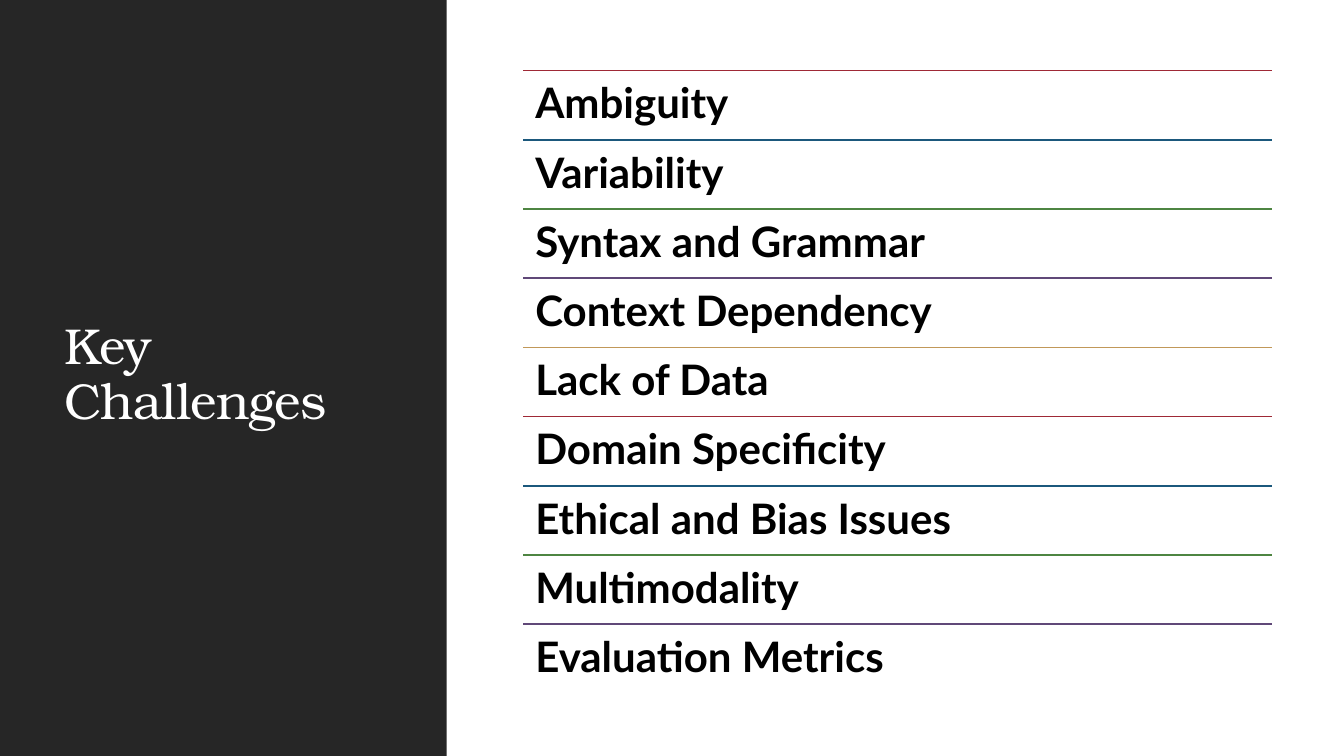
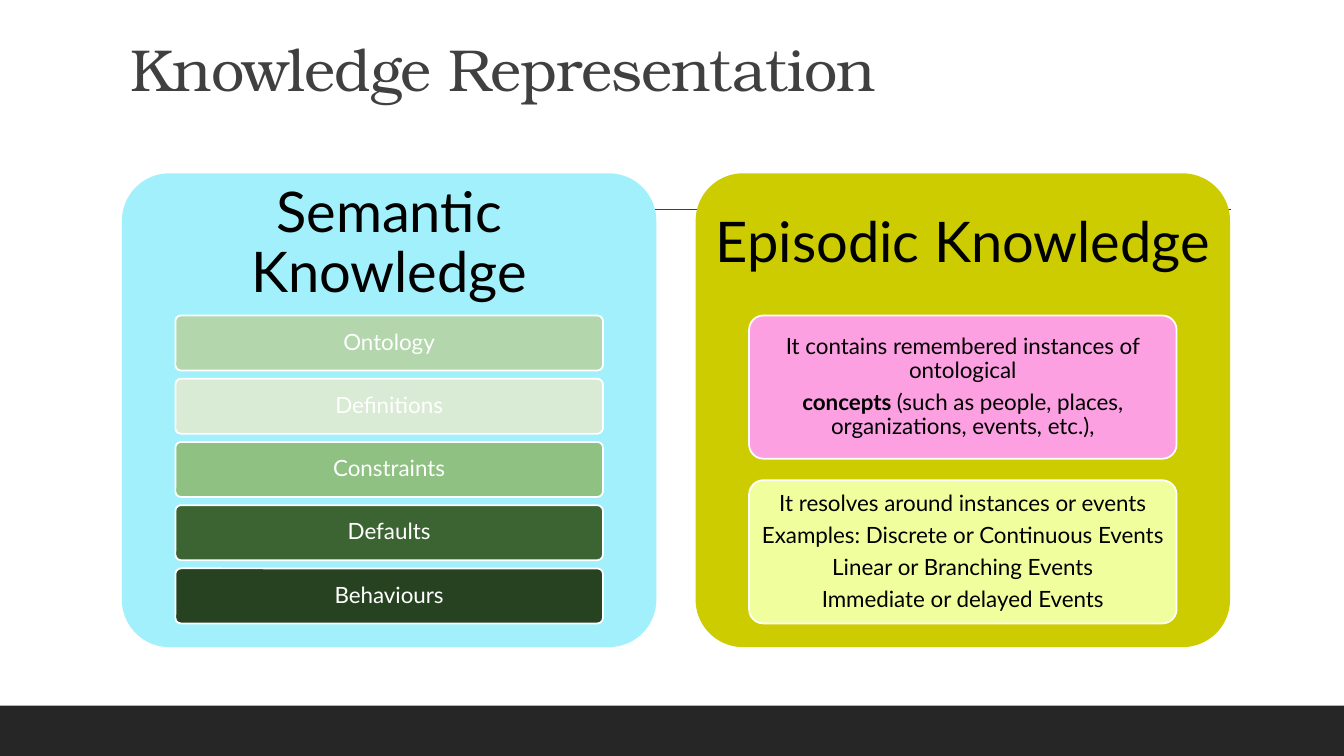
from dataclasses import dataclass

from lxml.etree import SubElement
from pptx import Presentation
from pptx.dml.color import RGBColor
from pptx.enum.shapes import MSO_CONNECTOR, MSO_SHAPE
from pptx.enum.text import MSO_ANCHOR as ANCHOR, PP_ALIGN as ALIGN
from pptx.oxml.ns import qn
from pptx.util import Inches, Pt

COLORS = {
    "dark": "262626", "grey": "404040", "white": "FFFFFF", "black": "000000",
    "red": "9F2936", "blue": "1B587C", "green": "4E8542",
    "purple": "604878", "tan": "C19859",
    "cyan": "A1F0FB", "olive": "CCCC00", "pink": "FCA0E2", "lime": "F0FE9E",
    "sage": "B3D6AC", "mist": "D9EAD5", "leaf": "8EC182",
    "forest": "3B6432", "pine": "274221",
}
BODY_FONT, TITLE_FONT = "Lato", "TeX Gyre Bonum"
SLIDE_W, SLIDE_H = 13.33, 7.5
FOOTER_H = 0.5


@dataclass(frozen=True)
class Box:
    x: float
    y: float
    w: float
    h: float

    def inches(self) -> tuple:
        return tuple(Inches(v) for v in (self.x, self.y, self.w, self.h))


@dataclass(frozen=True)
class Run:
    text: str
    bold: bool = False


@dataclass(frozen=True)
class Style:
    size: float
    color: str
    font: str = BODY_FONT
    align: ALIGN = ALIGN.LEFT
    anchor: ANCHOR = ANCHOR.MIDDLE
    inset: tuple = (0.1, 0.05)
    after: float = 0.35
    spacing: int = 0


@dataclass(frozen=True)
class Pill:
    fill: str
    color: str
    paragraphs: tuple


@dataclass(frozen=True)
class Panel:
    x: float
    fill: str
    heading: str
    pills: tuple


def rgb(name: str) -> RGBColor:
    return RGBColor.from_string(COLORS[name])


def write(sp, paragraphs, style: Style) -> None:
    tf = sp.text_frame
    tf.word_wrap = True
    tf.vertical_anchor = style.anchor
    tf.margin_left = tf.margin_right = Inches(style.inset[0])
    tf.margin_top = tf.margin_bottom = Inches(style.inset[1])
    for i, runs in enumerate(paragraphs):
        p = tf.paragraphs[0] if i == 0 else tf.add_paragraph()
        p.alignment = style.align
        p.line_spacing = 0.9
        p.space_after = Pt(style.size * style.after)
        for run in runs:
            r = p.add_run()
            r.text = run.text
            r.font.name = style.font
            r.font.size = Pt(style.size)
            r.font.bold = run.bold
            r.font.color.rgb = rgb(style.color)
            if style.spacing:
                r.font._element.set("spc", str(style.spacing))


def add_text(s, box: Box, run: Run, style: Style) -> None:
    write(s.shapes.add_textbox(*box.inches()), [[run]], style)


def add_title(s, box: Box, text: str, size: float, color: str, anchor: ANCHOR) -> None:
    add_text(s, box, Run(text), Style(size, color, TITLE_FONT, anchor=anchor,
                                      after=0, spacing=-50))


def add_block(s, box: Box, fill: str, rounded: bool = False, line: str = ""):
    kind = MSO_SHAPE.ROUNDED_RECTANGLE if rounded else MSO_SHAPE.RECTANGLE
    sp = s.shapes.add_shape(kind, *box.inches())
    sp.shadow.inherit = False
    sp.fill.solid()
    sp.fill.fore_color.rgb = rgb(fill)
    if rounded:
        sp.adjustments[0] = 0.1
    if line:
        sp.line.color.rgb = rgb(line)
        sp.line.width = Pt(1.25)
    else:
        sp.line.fill.background()
    return sp


def add_rule(s, x1: float, x2: float, y: float, color: str, width: float) -> None:
    rule = s.shapes.add_connector(MSO_CONNECTOR.STRAIGHT, Inches(x1), Inches(y),
                                  Inches(x2), Inches(y))
    rule.line.color.rgb = rgb(color)
    rule.line.width = Pt(width)
    SubElement(rule._element.spPr, qn("a:effectLst"))


CHALLENGES = (
    "Ambiguity", "Variability", "Syntax and Grammar", "Context Dependency",
    "Lack of Data", "Domain Specificity", "Ethical and Bias Issues",
    "Multimodality", "Evaluation Metrics",
)
RULE_COLORS = ("red", "blue", "green", "purple", "tan")


def challenges_slide(prs) -> None:
    s = prs.slides.add_slide(prs.slide_layouts[6])
    add_block(s, Box(0, 0, 4.43, SLIDE_H), "dark")
    add_title(s, Box(0.54, 0.57, 3.37, 6.31), "Key Challenges", 36, "white",
              ANCHOR.MIDDLE)
    left, top, width, height = 5.19, 0.7, 7.43, 6.18
    row_h = height / len(CHALLENGES)
    style = Style(30, "black", anchor=ANCHOR.TOP, inset=(0.12, 0.12))
    for i, name in enumerate(CHALLENGES):
        y = top + i * row_h
        add_rule(s, left, left + width, y, RULE_COLORS[i % len(RULE_COLORS)], 1.25)
        add_text(s, Box(left, y, width, row_h), Run(name, True), style)


PANELS = (
    Panel(1.21, "cyan", "Semantic Knowledge", tuple(
        Pill(fill, "white", ((Run(name),),)) for name, fill in (
            ("Ontology", "sage"), ("Definitions", "mist"), ("Constraints", "leaf"),
            ("Defaults", "forest"), ("Behaviours", "pine")))),
    Panel(6.9, "olive", "Episodic Knowledge", (
        Pill("pink", "black", (
            (Run("It contains remembered instances of ontological"),),
            (Run("concepts ", True),
             Run("(such as people, places, organizations, events, etc.),")),
        )),
        Pill("lime", "black", (
            (Run("It resolves around instances or events"),),
            (Run("Examples: Discrete or Continuous Events"),),
            (Run("Linear or Branching Events"),),
            (Run("Immediate or delayed Events"),),
        )),
    )),
)
PANEL_Y, PANEL_W, PANEL_H = 1.72, 5.3, 4.7
HEADING_H = 0.3 * PANEL_H
PILLS_H = 0.65 * PANEL_H
GAP_RATIO = 0.15


def add_panel(s, panel: Panel) -> None:
    add_block(s, Box(panel.x, PANEL_Y, PANEL_W, PANEL_H), panel.fill, True)
    add_text(s, Box(panel.x, PANEL_Y, PANEL_W, HEADING_H), Run(panel.heading),
             Style(40, "black", align=ALIGN.CENTER, inset=(0.17, 0.17)))
    count = len(panel.pills)
    pill_h = PILLS_H / (count + (count - 1) * GAP_RATIO)
    for i, pill in enumerate(panel.pills):
        y = PANEL_Y + HEADING_H + i * pill_h * (1 + GAP_RATIO)
        box = Box(panel.x + 0.1 * PANEL_W, y, 0.8 * PANEL_W, pill_h)
        write(add_block(s, box, pill.fill, True, "white"), pill.paragraphs,
              Style(16, pill.color, align=ALIGN.CENTER, inset=(0.04, 0.03)))


def knowledge_slide(prs) -> None:
    s = prs.slides.add_slide(prs.slide_layouts[6])
    add_block(s, Box(0, SLIDE_H - FOOTER_H, SLIDE_W, FOOTER_H), "dark")
    add_rule(s, 1.31, 12.21, 2.08, "grey", 1)
    add_title(s, Box(1.2, 0.31, 11, 0.77), "Knowledge Representation", 42.3,
              "grey", ANCHOR.BOTTOM)
    for panel in PANELS:
        add_panel(s, panel)


def main() -> None:
    prs = Presentation()
    prs.slide_width, prs.slide_height = Inches(SLIDE_W), Inches(SLIDE_H)
    challenges_slide(prs)
    knowledge_slide(prs)
    prs.save("out.pptx")


if __name__ == "__main__":
    main()
